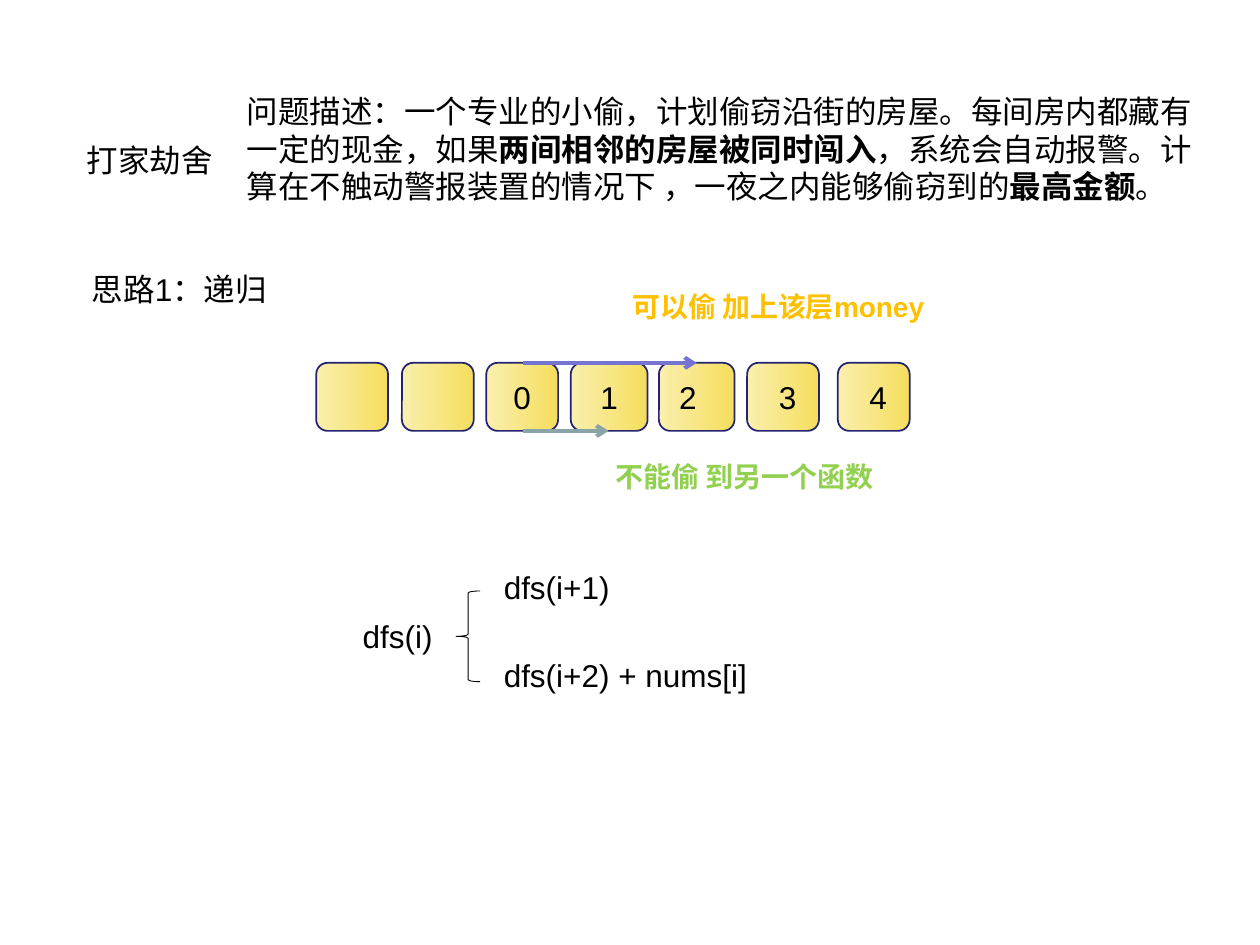
from pptx import Presentation
from pptx.dml.color import RGBColor
from pptx.enum.shapes import MSO_CONNECTOR as Conn, MSO_SHAPE as Kind
from pptx.enum.text import MSO_ANCHOR as Anchor, MSO_AUTO_SIZE as Auto, PP_ALIGN as Align
from pptx.oxml.ns import qn
from pptx.util import Inches, Pt
from lxml.etree import SubElement


def color(code):
    return RGBColor.from_string(code)


def write(shape, text, size=18, ink="000000", bold=False, align=Align.LEFT,
          anchor=Anchor.TOP, wrap=False, fit=Auto.NONE):
    """Fill the shape with text; parts between asterisks are bold."""
    frame = shape.text_frame
    frame.word_wrap, frame.auto_size = wrap, fit
    frame.vertical_anchor = anchor
    for num, line in enumerate(text.split("\n")):
        para = frame.add_paragraph() if num else frame.paragraphs[0]
        para.alignment = align
        for odd, part in enumerate(line.split("*")):
            run = para.add_run()
            run.text = part
            run.font.name, run.font.size = "Arial", Pt(size)
            run.font.bold = bold or odd % 2 == 1
            run.font.color.rgb = color(ink)


deck = Presentation()
deck.slide_width, deck.slide_height = Inches(10), Inches(7.5)
slide = deck.slides.add_slide(deck.slide_layouts[5])
shapes = slide.shapes

# Title and problem text; the title box has some room to spare
title = shapes.title
title.left, title.top = Inches(0.59), Inches(1.07)
title.width, title.height = Inches(1.26), Inches(0.4)
write(title, "打家劫舍", wrap=True)

story = """问题描述：一个专业的小偷，计划偷窃沿街的房屋。每间房内都藏有
一定的现金，如果*两间相邻的房屋被同时闯入*，系统会自动报警。计
算在不触动警报装置的情况下 ，一夜之内能够偷窃到的*最高金额*。"""

labels = [
    (1.86, 0.68, 7.7, 1, story, {}),
    (0.63, 2.09, 1.71, 0.4, "思路1：递归", {}),
    (4.92, 2.25, 2.57, 0.37, "可以偷 加上该层money",
     dict(size=16, ink="FFC000", bold=True)),
    (4.79, 3.6, 2.25, 0.37, "不能偷 到另一个函数",
     dict(size=16, ink="92D050", bold=True)),
    (2.78, 4.85, 0.82, 0.4, "dfs(i)", dict(wrap=True)),
    (3.9, 4.46, 1.04, 0.4, "dfs(i+1)", {}),
    (3.9, 5.16, 2.13, 0.4, "dfs(i+2) + nums[i]", {}),
]
for x, y, w, h, text, style in labels:
    box = shapes.add_textbox(Inches(x), Inches(y), Inches(w), Inches(h))
    write(box, text, **{"fit": Auto.SHAPE_TO_FIT_TEXT, **style})

# Row of houses: left, width, number, left and right inset
houses = [
    (2.51, 0.57, "", 0.1, 0.1),
    (3.19, 0.57, "", 0.1, 0.1),
    (3.86, 0.57, "0", 0.1, 0.1),
    (4.53, 0.61, "1", 0.1, 0.1),
    (5.23, 0.6, "2", 0.1, 0.24),
    (5.93, 0.57, "3", 0.17, 0.1),
    (6.65, 0.57, "4", 0.17, 0.1),
]
for x, w, text, left, right in houses:
    house = shapes.add_shape(Kind.ROUNDED_RECTANGLE, Inches(x), Inches(2.88),
                             Inches(w), Inches(0.54))
    house.shadow.inherit = False
    house.fill.gradient()
    house.fill.gradient_angle = 0
    for stop, code in zip(house.fill.gradient_stops, ("FAEFAE", "F5DE5D")):
        stop.color.rgb = color(code)
    house.line.color.rgb = color("23236F")
    house.line.width = Pt(1)
    if text:
        house.text_frame.margin_left = Inches(left)
        house.text_frame.margin_right = Inches(right)
        write(house, text, align=Align.CENTER, anchor=Anchor.MIDDLE, wrap=True)

# Arrows for skipping to the next house or the one after
for end, y, code in [(4.83, 3.42, "89A4A7"), (5.53, 2.88, "7575D1")]:
    arrow = shapes.add_connector(Conn.STRAIGHT, Inches(4.15), Inches(y),
                                 Inches(end), Inches(y))
    arrow.line.color.rgb = color(code)
    arrow.line.width = Pt(2.25)
    line = arrow._element.spPr.find(qn("a:ln"))
    SubElement(line, qn("a:tailEnd"), type="arrow")
    SubElement(arrow._element.spPr, qn("a:effectLst"))

# Brace joining the two branches of the recursion
brace = shapes.add_shape(Kind.LEFT_BRACE, Inches(3.62), Inches(4.69),
                         Inches(0.19), Inches(0.72))
brace.shadow.inherit = False
brace.fill.background()
brace.line.color.rgb = color("000000")
brace.line.width = Pt(0.5)

deck.save("out.pptx")
